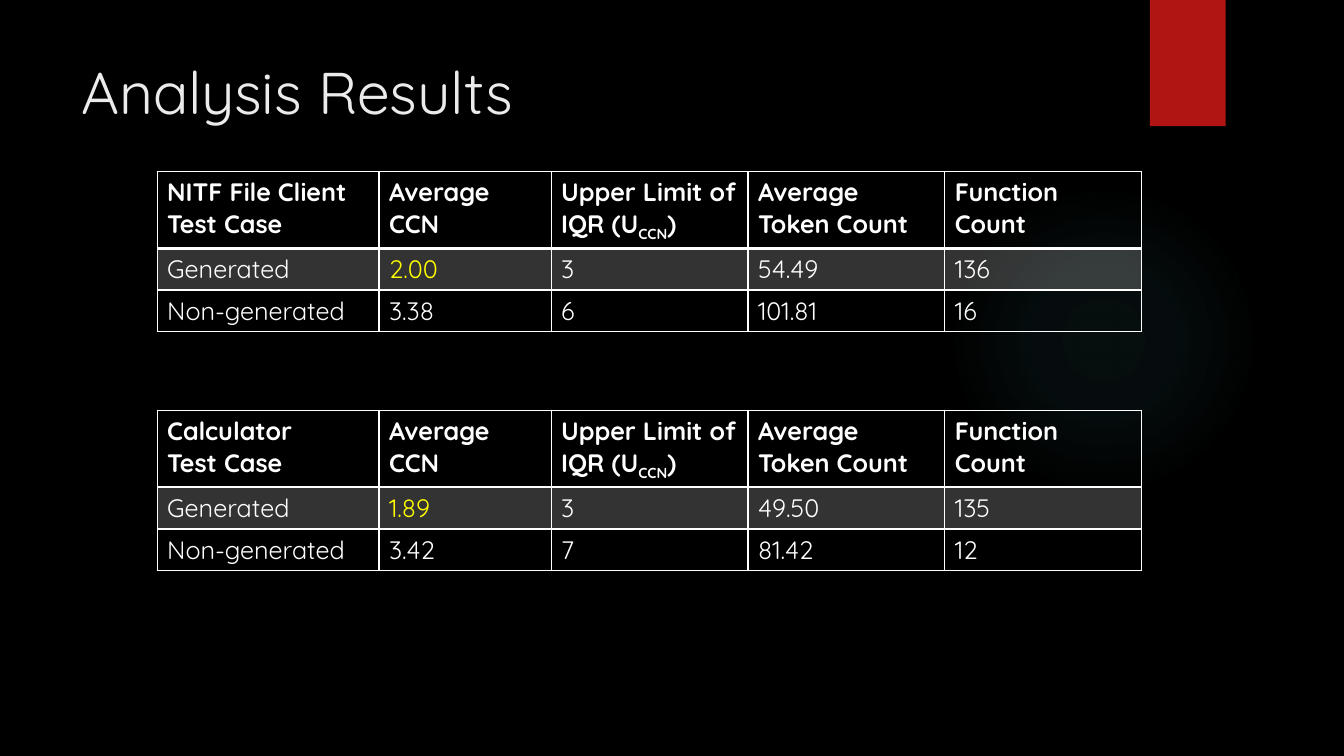
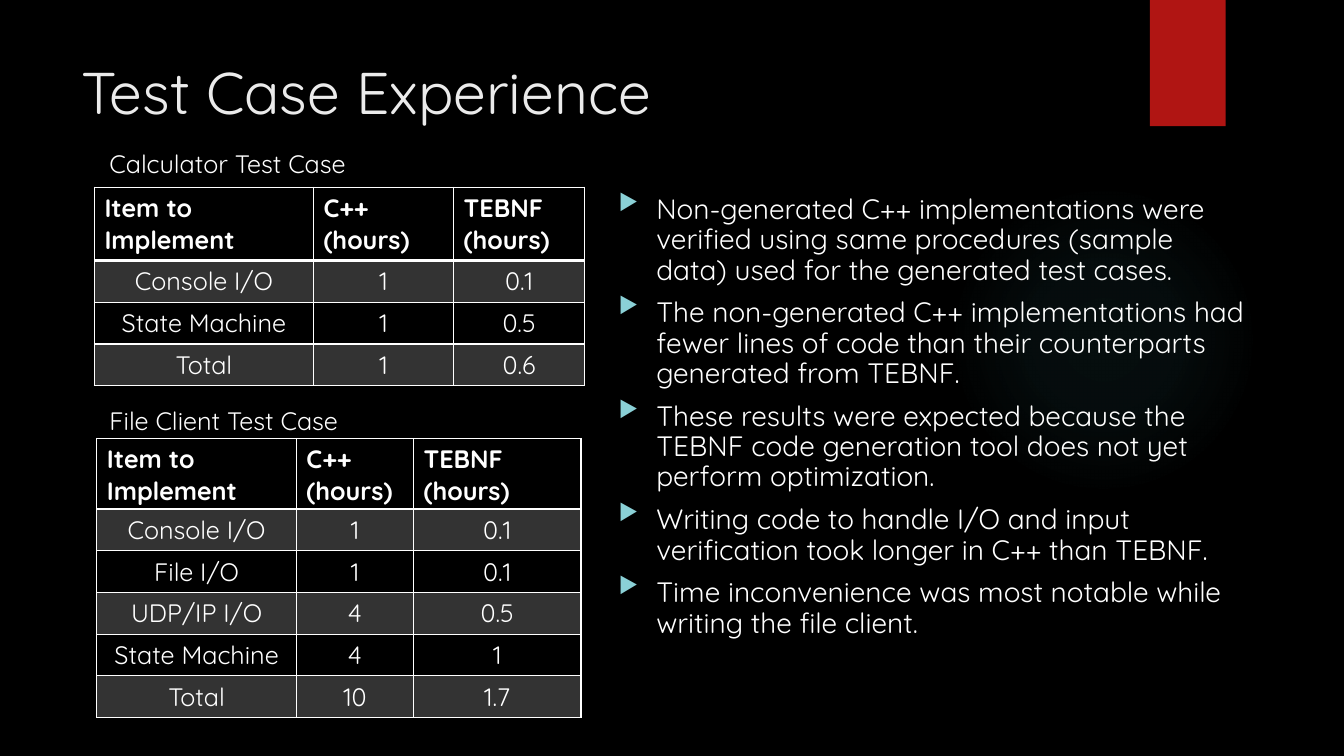
import pptx
import pptx.util
import pptx.dml.color
import pptx.enum.shapes
import pptx.enum.text
import pptx.oxml
import pptx.oxml.ns

Cm, Pt = pptx.util.Cm, pptx.util.Pt
SHAPE = pptx.enum.shapes.MSO_SHAPE
ALIGN = pptx.enum.text.PP_ALIGN
ANCHOR = pptx.enum.text.MSO_ANCHOR
FIT = pptx.enum.text.MSO_AUTO_SIZE
NS = pptx.oxml.ns.nsdecls("a")

# Shared look
WHITE, BLACK, RED, YELLOW = "FFFFFF", "000000", "B01513", "FFFF00"
PALE, TEAL, AQUA = "EBEBEB", "50B9C1", "8AD0D6"
FONT = "Quicksand"
TITLE = {"size": Pt(42), "name": FONT, "bold": False}
BODY = {"size": Pt(20), "name": FONT, "bold": False}
CELL = {"size": Pt(18), "name": FONT, "bold": False}
HEAD = {**CELL, "bold": True}
HEAD_H, ROW_H = 1.75, 1.05


def color(code):
    return pptx.dml.color.RGBColor.from_string(code)


def xml(text):
    return pptx.oxml.parse_xml(text)


def style(font, look, code=WHITE):
    for key, value in look.items():
        setattr(font, key, value)
    font.color.rgb = color(code)


def place(item, box):
    for key, value in zip(("left", "top", "width", "height"), box):
        setattr(item, key, Cm(value))


def write(para, text, look, code=WHITE):
    """Parts between bars are set as subscript."""
    for i, part in enumerate(text.split("|")):
        run = para.add_run()
        run.text = part
        style(run.font, look, code)
        if i % 2:
            run._r.get_or_add_rPr().set("baseline", "-25000")


def shape(slide, kind, box, code):
    item = slide.shapes.add_shape(kind, *map(Cm, box))
    item.shadow.inherit = False
    item.fill.solid()
    item.fill.fore_color.rgb = color(code)
    item.line.fill.background()
    return item


def glow(slide, box):
    item = shape(slide, SHAPE.OVAL, box, TEAL)
    stops = "".join(
        f'<a:gs pos="{pos}000"><a:srgbClr val="{TEAL}">'
        f'<a:alpha val="{alpha}000"/></a:srgbClr></a:gs>'
        for pos, alpha in ((0, 7), (36, 6), (69, 0)))
    props = item._element.spPr
    solid = props.find(pptx.oxml.ns.qn("a:solidFill"))
    props.replace(solid, xml(
        f'<a:gradFill {NS}><a:gsLst>{stops}</a:gsLst><a:path path="circle">'
        '<a:fillToRect l="50000" t="50000" r="50000" b="50000"/>'
        '</a:path></a:gradFill>'))


def start(deck, text):
    """Title-only slide with the glow and the red flag."""
    slide = deck.slides.add_slide(deck.slide_layouts[5])
    glow(slide, (23.9, 4.65, 7.82, 7.82))
    shape(slide, SHAPE.RECTANGLE, (28.98, 0, 1.91, 3.18), RED)
    title = slide.shapes.title
    place(title, (1.8, 1.27, 26.14, 3.89))
    frame = title.text_frame
    frame.vertical_anchor = ANCHOR.TOP
    frame.paragraphs[0].alignment = ALIGN.LEFT
    write(frame.paragraphs[0], text, TITLE, PALE)
    return slide


def edges(cell, base):
    props = cell._tc.get_or_add_tcPr()
    for side, width in (("L", 1), ("R", 1), ("T", 1), ("B", base)):
        props.append(xml(
            f'<a:ln{side} {NS} w="{Pt(width)}"><a:solidFill>'
            f'<a:srgbClr val="{WHITE}"/></a:solidFill></a:ln{side}>'))


def shade(cell, band):
    if not band:
        cell.fill.background()
        return
    cell.fill.solid()
    cell.fill.fore_color.rgb = color(WHITE)
    tint = next(cell._tc.tcPr.iter(pptx.oxml.ns.qn("a:srgbClr"), ), None)
    for tint in cell._tc.tcPr.find(pptx.oxml.ns.qn("a:solidFill")):
        tint.append(xml(f'<a:alpha {NS} val="20000"/>'))


def grid(slide, spot, widths, rows, align=ALIGN.LEFT, marks=()):
    """Table at spot; marks lists the cells in yellow."""
    high = HEAD_H + ROW_H * (len(rows) - 1)
    frame = slide.shapes.add_table(
        len(rows), len(widths), *map(Cm, (*spot, sum(widths), high)))
    table = frame.table
    table.first_row = table.horz_banding = False
    for col, width in zip(table.columns, widths):
        col.width = Cm(width)
    for r, row in enumerate(rows):
        table.rows[r].height = Cm(ROW_H if r else HEAD_H)
        for c, text in enumerate(row):
            cell = table.cell(r, c)
            edges(cell, 1 if r else 2)
            shade(cell, r % 2)
            for i, line in enumerate(text.split("\n")):
                frame = cell.text_frame
                para = frame.add_paragraph() if i else frame.paragraphs[0]
                para.alignment = align if r else ALIGN.LEFT
                write(para, line, CELL if r else HEAD,
                      YELLOW if (r, c) in marks else WHITE)


def label(slide, box, text):
    frame = slide.shapes.add_textbox(*map(Cm, box)).text_frame
    frame.word_wrap = True
    write(frame.paragraphs[0], text, CELL)


def points(slide, box, lines):
    frame = slide.shapes.add_textbox(*map(Cm, box)).text_frame
    frame.word_wrap = True
    frame.auto_size = FIT.TEXT_TO_FIT_SHAPE
    for i, line in enumerate(lines):
        para = frame.add_paragraph() if i else frame.paragraphs[0]
        para.space_before = Pt(10)
        write(para, line, BODY)
        props = para._p.get_or_add_pPr()
        props.set("marL", str(Cm(0.95)))
        props.set("indent", str(-Cm(0.95)))
        for part in (f'<a:buClr {NS}><a:srgbClr val="{AQUA}"/></a:buClr>',
                     f'<a:buSzPct {NS} val="80000"/>',
                     f'<a:buChar {NS} char="▶"/>'):
            props.append(xml(part))


def results(deck):
    slide = start(deck, "Analysis Results")
    widths = (5.59, 4.34, 4.96, 4.96, 4.96)
    heads = ("Average CCN", "Upper Limit of IQR (U|CCN|)",
             "Average Token Count", "Function\nCount")
    cases = (
        (4.32, "NITF File Client Test Case",
         ("2.00", "3", "54.49", "136"), ("3.38", "6", "101.81", "16")),
        (10.34, "Calculator\nTest Case",
         ("1.89", "3", "49.50", "135"), ("3.42", "7", "81.42", "12")))
    for top, name, made, hand in cases:
        rows = ((name, *heads), ("Generated", *made), ("Non-generated", *hand))
        grid(slide, (3.96, top), widths, rows, marks=((1, 1),))


def effort(deck):
    slide = start(deck, "Test Case Experience")
    points(slide, (15.34, 4.7, 16.36, 12.85), (
        "Non-generated C++ implementations were verified using same "
        "procedures (sample data) used for the generated test cases.",
        "The non-generated C++ implementations had fewer lines of code "
        "than their counterparts generated from TEBNF.",
        "These results were expected because the TEBNF code generation "
        "tool does not yet perform optimization.",
        "Writing code to handle I/O and input verification took longer "
        "in C++ than TEBNF.",
        "Time inconvenience was most notable while writing the file client."))
    heads = ("Item to Implement", "C++ (hours)", "TEBNF (hours)")
    cases = (
        ("Calculator Test Case", 3.61, (2.38, 4.72), (5.52, 3.53, 3.31),
         (("Console I/O", "1", "0.1"), ("State Machine", "1", "0.5"),
          ("Total", "1", "0.6"))),
        ("File Client Test Case", 10.08, (2.44, 11.05), (5.03, 2.95, 4.22),
         (("Console I/O", "1", "0.1"), ("File I/O", "1", "0.1"),
          ("UDP/IP I/O", "4", "0.5"), ("State Machine", "4", "1"),
          ("Total", "10", "1.7"))))
    for name, top, spot, widths, rows in cases:
        grid(slide, spot, widths, (heads, *rows), ALIGN.CENTER)
        label(slide, (2.51, top, 12, 1.02), name)


def main():
    deck = pptx.Presentation()
    deck.slide_width, deck.slide_height = Cm(33.87), Cm(19.05)
    back = deck.slide_master.background.fill
    back.solid()
    back.fore_color.rgb = color(BLACK)
    results(deck)
    effort(deck)
    deck.save("out.pptx")


if __name__ == "__main__":
    main()
